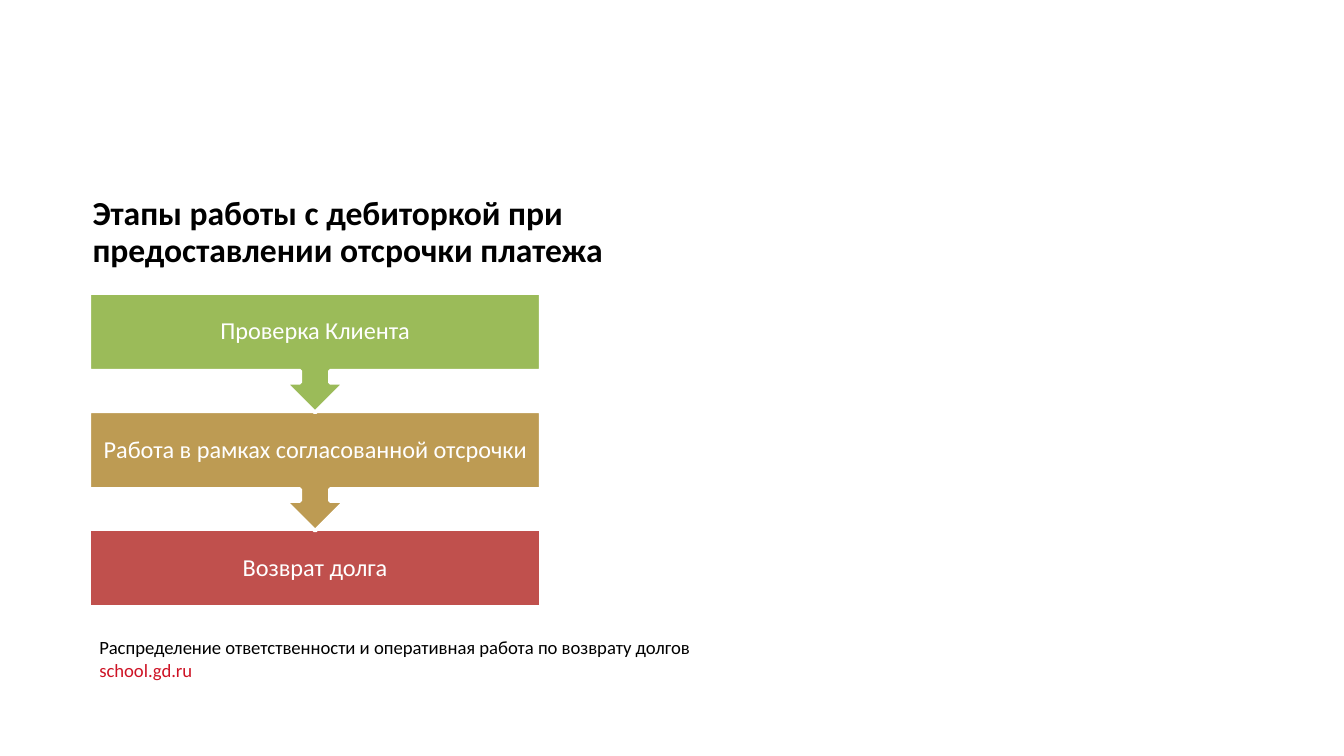
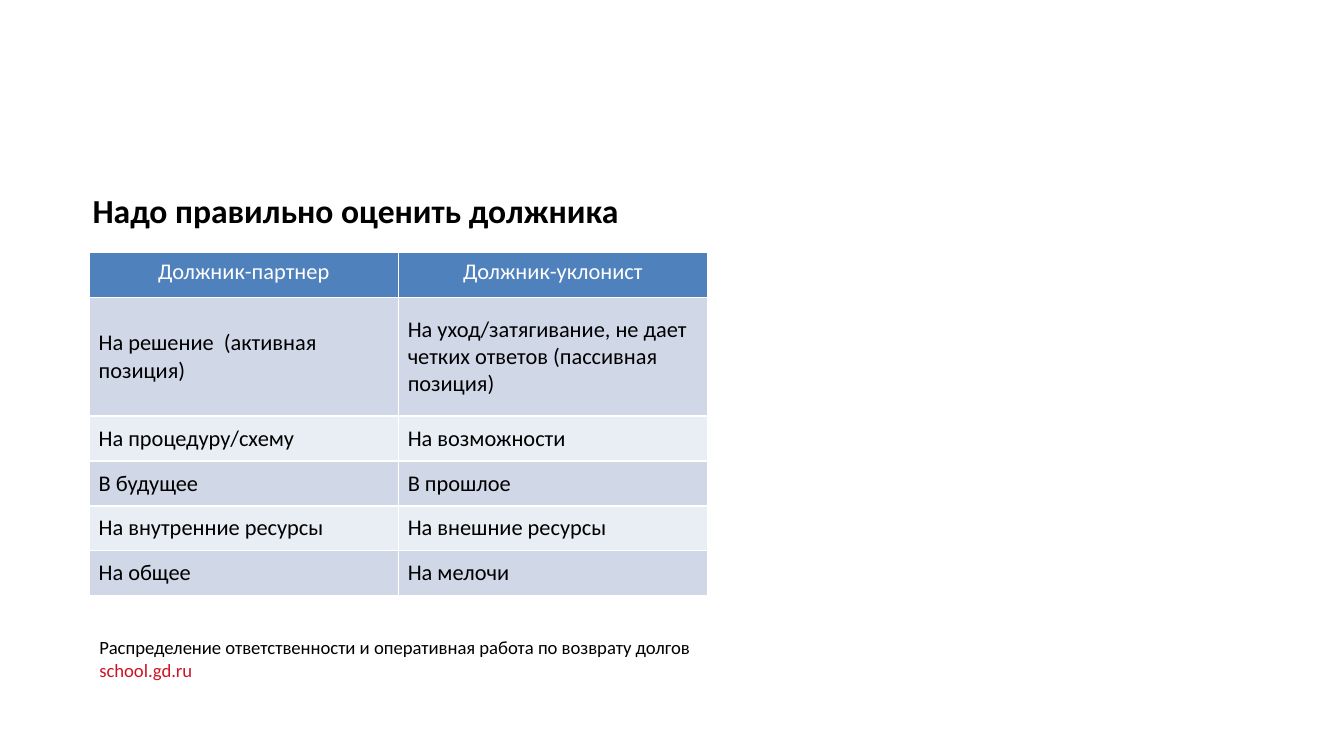
from dataclasses import dataclass

from lxml import etree
from pptx import Presentation
from pptx.dml.color import RGBColor
from pptx.enum.shapes import MSO_SHAPE
from pptx.enum.text import MSO_ANCHOR, PP_ALIGN
from pptx.oxml.ns import qn
from pptx.util import Inches, Pt

RECT, CALLOUT = MSO_SHAPE.RECTANGLE, MSO_SHAPE.UP_ARROW_CALLOUT
TOP, MIDDLE = MSO_ANCHOR.TOP, MSO_ANCHOR.MIDDLE
LEFT, CENTER = PP_ALIGN.LEFT, PP_ALIGN.CENTER

# Shared look
FONT = "Calibri"
BLACK = RGBColor(0x00, 0x00, 0x00)
WHITE = RGBColor(0xFF, 0xFF, 0xFF)
LINK_RED = RGBColor(0xCE, 0x13, 0x25)
GREEN = RGBColor(0x9B, 0xBB, 0x59)
OCHRE = RGBColor(0xBD, 0x9B, 0x53)
RED = RGBColor(0xC0, 0x50, 0x4D)
HEADER_BLUE = RGBColor(0x4F, 0x81, 0xBD)
BAND_DARK = RGBColor(0xD0, 0xD8, 0xE8)
BAND_LIGHT = RGBColor(0xE9, 0xED, 0xF4)

FOOTER_LINES = [
    "Распределение ответственности и оперативная работа по возврату долгов",
    "school.gd.ru",
]

# Slide format 16:9
prs = Presentation()
prs.slide_width = Inches(10)
prs.slide_height = prs.slide_width * 9 // 16


def px(percent: float) -> int:
    """Percent of the slide width."""
    return round(prs.slide_width * percent / 100)


def py(percent: float) -> int:
    """Percent of the slide height."""
    return round(prs.slide_height * percent / 100)


@dataclass(frozen=True)
class Box:
    """A place on the slide, in percent of its size."""
    left: float
    top: float
    width: float
    height: float

    def place(self) -> tuple[int, int, int, int]:
        return px(self.left), py(self.top), px(self.width), py(self.height)


@dataclass(frozen=True)
class Stage:
    text: str
    color: RGBColor


# Slide 1: stages
CONTENT_LEFT = 6.64
STAGE_TOP, STAGE_PITCH = 38.76, 15.64
STAGE_WIDTH, STAGE_HEIGHT, CALLOUT_HEIGHT = 33.6, 10.31, 15.82
STAGES = [
    Stage("Проверка Клиента", GREEN),
    Stage("Работа в рамках согласованной отсрочки", OCHRE),
    Stage("Возврат долга", RED),
]

# Slide 2: table
TABLE = Box(CONTENT_LEFT, 33.42, 46, 45.51)
ROW_HEIGHT, TALL_ROW_HEIGHT = 5.93, 15.7
DEBTORS = [
    ("Должник-партнер", "Должник-уклонист"),
    ("На решение  (активная позиция)",
     "На уход/затягивание, не дает четких ответов (пассивная позиция)"),
    ("На процедуру/схему", "На возможности"),
    ("В будущее", "В прошлое"),
    ("На внутренние ресурсы", "На внешние ресурсы"),
    ("На общее", "На мелочи"),
]


def style(p, size: float, color: RGBColor, bold: bool = False, align=LEFT) -> None:
    p.alignment = align
    for r in p.runs:
        r.font.name, r.font.size, r.font.bold = FONT, Pt(size), bold
        r.font.color.rgb = color


def add_text(s, box: Box, lines: list[str], size: float, color: RGBColor,
             bold: bool = False, align=LEFT, anchor=TOP, spacing=None, wrap: bool = True):
    tf = s.shapes.add_textbox(*box.place()).text_frame
    tf.word_wrap, tf.vertical_anchor = wrap, anchor
    tf.text = "\n".join(lines)
    for p in tf.paragraphs:
        style(p, size, color, bold, align)
    tf.paragraphs[0].line_spacing = spacing
    return tf


def add_page(title: str, box: Box, spacing=None, wrap: bool = True):
    """New slide with the shared title and footer."""
    s = prs.slides.add_slide(prs.slide_layouts[6])
    add_text(s, box, [title], 18, BLACK, bold=True, spacing=spacing, wrap=wrap)
    tf = add_text(s, Box(6.4, 83.56, 62.5, 7.47), FOOTER_LINES, 10, BLACK, spacing=0.91)
    style(tf.paragraphs[1], 10, LINK_RED)
    return s


def add_stage(s, stage: Stage, top: float, is_last: bool) -> None:
    height = STAGE_HEIGHT if is_last else CALLOUT_HEIGHT
    box = Box(CONTENT_LEFT, top, STAGE_WIDTH, height)
    sp = s.shapes.add_shape(RECT if is_last else CALLOUT, *box.place())
    sp.rotation = 0 if is_last else 180
    sp.shadow.inherit = False
    sp.fill.solid()
    sp.fill.fore_color.rgb = stage.color
    sp.line.color.rgb, sp.line.width = WHITE, Pt(2)

    label = Box(CONTENT_LEFT, top, STAGE_WIDTH, STAGE_HEIGHT)
    tf = add_text(s, label, [stage.text], 13, WHITE, align=CENTER,
                  anchor=MIDDLE, spacing=0.9)
    tf.margin_left = tf.margin_right = tf.margin_top = tf.margin_bottom = Inches(0.1)


def set_borders(cell) -> None:
    tc_pr = cell._tc.get_or_add_tcPr()
    for side in "LRTB":
        ln = etree.SubElement(tc_pr, qn(f"a:ln{side}"), w=str(Pt(1)))
        fill = etree.SubElement(ln, qn("a:solidFill"))
        etree.SubElement(fill, qn("a:srgbClr"), val=str(WHITE))


def fill_cell(cell, text: str, row: int) -> None:
    is_header = row == 0
    set_borders(cell)
    cell.fill.solid()
    cell.fill.fore_color.rgb = (
        HEADER_BLUE if is_header else BAND_DARK if row % 2 else BAND_LIGHT)
    cell.margin_left = cell.margin_right = Inches(0.07)
    cell.margin_top = cell.margin_bottom = Inches(0.04)
    cell.vertical_anchor = TOP if is_header else MIDDLE
    cell.text_frame.text = text
    style(cell.text_frame.paragraphs[0], 12, WHITE if is_header else BLACK,
          align=CENTER if is_header else LEFT)


def build_stages() -> None:
    s = add_page("Этапы работы с дебиторкой при предоставлении отсрочки платежа",
                 Box(5.9, 25.07, 50.8, 8.18), spacing=0.91)
    # Bottom stage first, so each arrow lies over the stage below it
    for i, stage in reversed(list(enumerate(STAGES))):
        add_stage(s, stage, STAGE_TOP + i * STAGE_PITCH, i == len(STAGES) - 1)


def build_debtors() -> None:
    s = add_page("Надо правильно оценить должника",
                 Box(5.9, 24.3, 41.5, 7.11), wrap=False)
    table = s.shapes.add_table(len(DEBTORS), len(DEBTORS[0]), *TABLE.place()).table
    for i, texts in enumerate(DEBTORS):
        table.rows[i].height = py(TALL_ROW_HEIGHT if i == 1 else ROW_HEIGHT)
        for j, text in enumerate(texts):
            fill_cell(table.cell(i, j), text, i)


def main() -> None:
    build_stages()
    build_debtors()
    prs.save("out.pptx")


if __name__ == "__main__":
    main()
